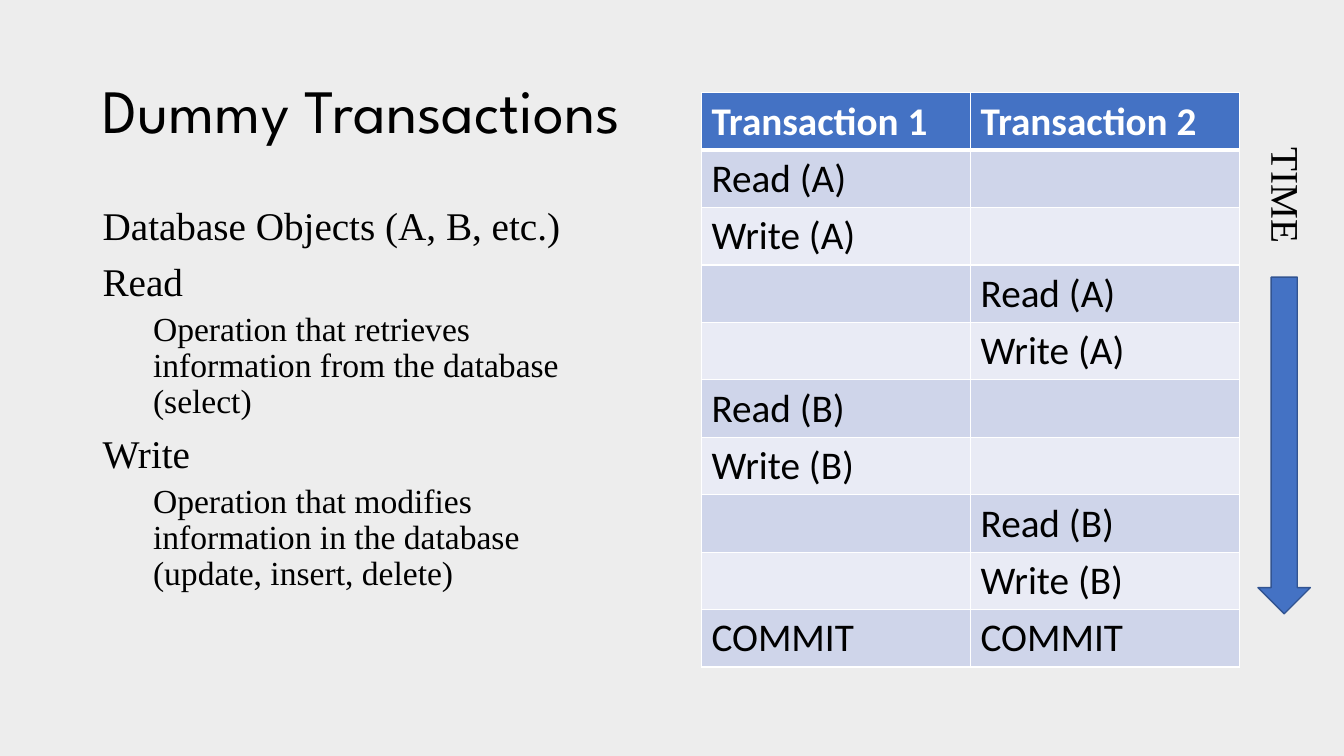
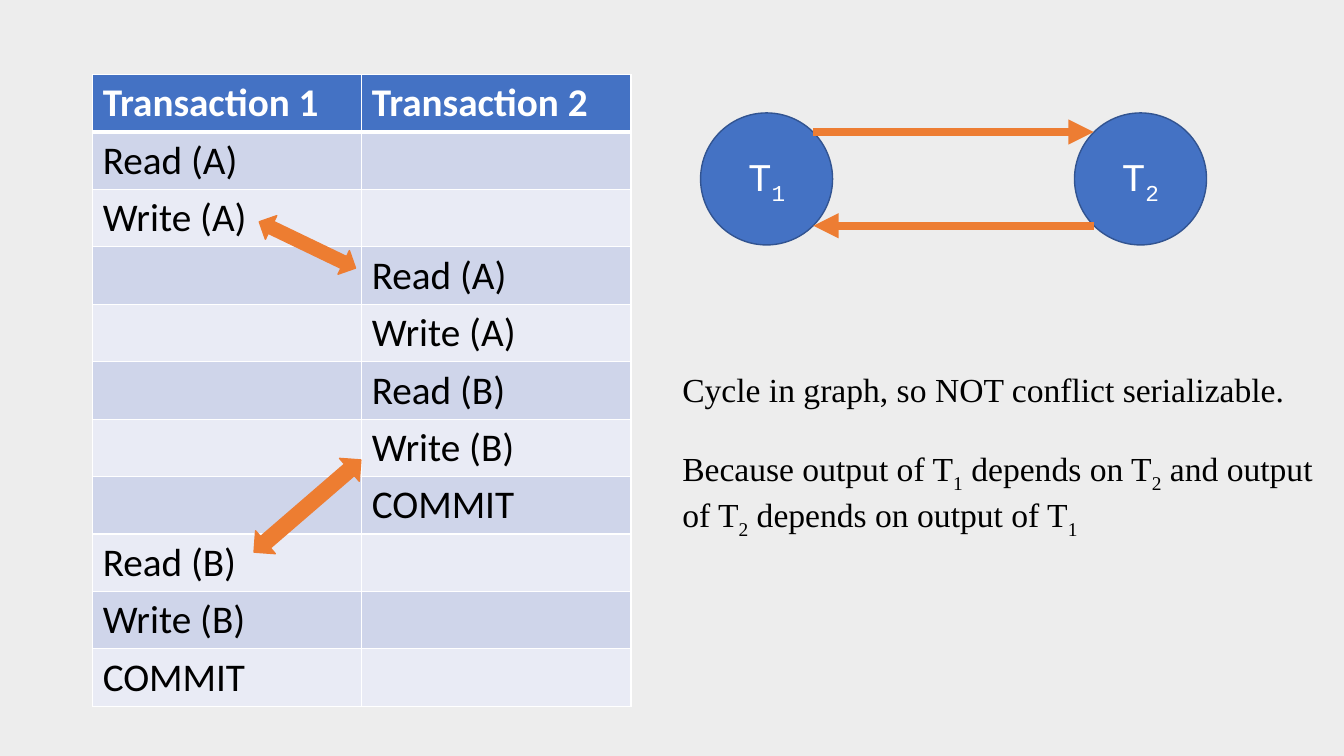
from lxml import etree
from pptx import Presentation
from pptx.dml.color import RGBColor
from pptx.enum.shapes import MSO_CONNECTOR, MSO_SHAPE
from pptx.enum.text import MSO_ANCHOR, PP_ALIGN
from pptx.oxml.ns import qn
from pptx.util import Pt

PX = 9144  # 100 px to the inch
LEFT, CENTER = PP_ALIGN.LEFT, PP_ALIGN.CENTER
TOP, MIDDLE = MSO_ANCHOR.TOP, MSO_ANCHOR.MIDDLE
OVAL, DOWN = MSO_SHAPE.OVAL, MSO_SHAPE.DOWN_ARROW
DOUBLE = MSO_SHAPE.UP_DOWN_ARROW
STRAIGHT = MSO_CONNECTOR.STRAIGHT

GRAY = RGBColor(0xED, 0xED, 0xED)
BLACK = RGBColor(0x00, 0x00, 0x00)
WHITE = RGBColor(0xFF, 0xFF, 0xFF)
BLUE = RGBColor(0x44, 0x72, 0xC4)
NAVY = RGBColor(0x32, 0x54, 0x91)
BANDS = RGBColor(0xCF, 0xD5, 0xEA), RGBColor(0xE9, 0xEB, 0xF5)
ORANGE = RGBColor(0xED, 0x7D, 0x31)
RUST = RGBColor(0xED, 0x7D, 0x33)

SERIF, SANS, MONO = "Times New Roman", "Calibri", "Courier New"
TITLE = "League Spartan"
COL, ROW = 267, 57

HEAD = ("Transaction 1", "Transaction 2")
FIRST = [HEAD, ("Read (A)", ""), ("Write (A)", ""), ("", "Read (A)"),
         ("", "Write (A)"), ("Read (B)", ""), ("Write (B)", ""),
         ("", "Read (B)"), ("", "Write (B)"), ("COMMIT", "COMMIT")]
SECOND = FIRST[:5] + [("", "Read (B)"), ("", "Write (B)"), ("", "COMMIT"),
                      ("Read (B)", ""), ("Write (B)", ""), ("COMMIT", "")]
# Each entry: level, text
TERMS = [(0, "Database Objects (A, B, etc.)"),
         (0, "Read"),
         (1, "Operation that retrieves information from the database (select)"),
         (0, "Write"),
         (1, "Operation that modifies information in the database "
             "(update, insert, delete)")]


def emu(*px):
    return [n * PX for n in px]


def write(para, text, size=28, font=SERIF, color=BLACK, bold=False,
          align=LEFT, lines=None, before=0, indent=0):
    """Fill a paragraph; parts between ~ marks become subscripts."""
    para.alignment = align
    para.line_spacing = lines
    para.space_before = Pt(before)
    if indent:
        para._p.get_or_add_pPr().set("marL", str(indent * PX))
    for i, part in enumerate(text.split("~")):
        if not part:
            continue
        run = para.add_run()
        run.text = part
        run.font.size, run.font.name = Pt(size), font
        run.font.color.rgb, run.font.bold = color, bold
        if i % 2:
            run._r.get_or_add_rPr().set("baseline", "-25000")


def frame(slide, x, y, w, h, anchor=TOP, turn=0):
    box = slide.shapes.add_textbox(*emu(x, y, w, h))
    box.rotation = turn
    box.text_frame.word_wrap = True
    box.text_frame.vertical_anchor = anchor
    return box.text_frame


def shape(slide, kind, x, y, w, h, fill=BLUE, edge=NAVY, turn=0):
    item = slide.shapes.add_shape(kind, *emu(x, y, w, h))
    item.shadow.inherit = False
    item.fill.solid()
    item.fill.fore_color.rgb = fill
    item.line.color.rgb, item.line.width = edge, Pt(1)
    item.rotation = turn
    return item


def border(cell, side, width):
    line = etree.SubElement(cell._tc.get_or_add_tcPr(), qn("a:" + side),
                            w=str(Pt(width)))
    fill = etree.SubElement(line, qn("a:solidFill"))
    etree.SubElement(fill, qn("a:srgbClr"), val=str(WHITE))


def grid(slide, x, y, rows):
    """Schedule table with a header and two-tone rows."""
    size = emu(x, y, COL * len(HEAD), ROW * len(rows))
    table = slide.shapes.add_table(len(rows), len(HEAD), *size).table
    for col in table.columns:
        col.width = COL * PX
    for r, texts in enumerate(rows):
        table.rows[r].height = ROW * PX
        for c, text in enumerate(texts):
            cell = table.cell(r, c)
            for side in ("lnL", "lnR", "lnT", "lnB"):
                thick = (r, side) in ((0, "lnB"), (1, "lnT"))
                border(cell, side, 3 if thick else 1)
            cell.fill.solid()
            cell.fill.fore_color.rgb = BANDS[(r - 1) % 2] if r else BLUE
            write(cell.text_frame.paragraphs[0], text, font=SANS,
                  color=BLACK if r else WHITE, bold=r == 0)


def terms(slide, x, y, w, h):
    """Definitions, with explanations indented."""
    body = frame(slide, x, y, w, h)
    for i, (level, text) in enumerate(TERMS):
        para = body.add_paragraph() if i else body.paragraphs[0]
        write(para, text, size=24 if level else 28, lines=0.9,
              before=(5 if level else 10) if i else 0, indent=50 * level)


def clock(slide, x, y):
    """Time label reading downward, above a long arrow."""
    label = frame(slide, x - 30, y, 117, 57, turn=90)
    write(label.paragraphs[0], "TIME")
    shape(slide, DOWN, x, y + 108, 52, 334)


def link(slide, x1, x2, y):
    line = slide.shapes.add_connector(STRAIGHT, *emu(x1, y, x2, y))
    line.line.color.rgb, line.line.width = RUST, Pt(6)
    etree.SubElement(line.line._get_or_add_ln(), qn("a:tailEnd"),
                     type="triangle")
    etree.SubElement(line._element.spPr, qn("a:effectLst"))


def graph(slide, x, y, size=131, step=371):
    """Two nodes joined by an arrow each way."""
    for i in range(2):
        node = shape(slide, OVAL, x + i * step, y, size, size)
        node.text_frame.vertical_anchor = MIDDLE
        write(node.text_frame.paragraphs[0], f"T~{i + 1}~", font=MONO,
              color=WHITE, align=CENTER)
    cut = round(size * (1 - 0.5 ** 0.5) / 2)  # corner of box to rim
    start, end = x + size - cut, x + step + cut
    link(slide, start, end, y + cut)
    link(slide, end, start, y + size - cut)


def verdict(slide, x, y, w, h):
    text = frame(slide, x, y, w, h)
    write(text.paragraphs[0], "Cycle in graph, so NOT conflict serializable.",
          size=24)
    write(text.add_paragraph(),
          "Because output of T~1~ depends on T~2~ and output "
          "of T~2~ depends on output of T~1~", size=24, before=28)


def intro(slide):
    head = frame(slide, 92, 40, 1150, 145, anchor=MIDDLE)
    write(head.paragraphs[0], "Dummy Transactions", size=44, font=TITLE,
          lines=0.9)
    terms(slide, 92, 200, 534, 476)
    grid(slide, 696, 92, FIRST)
    clock(slide, 1248, 167)


def cycle(slide):
    grid(slide, 92, 74, SECOND)
    graph(slide, 695, 112)
    # Conflicts between rows
    for box, turn in (((292, 190, 26, 106), 295.7),
                      ((290, 432, 30, 140), 229.2)):
        shape(slide, DOUBLE, *box, fill=ORANGE, edge=RUST, turn=turn)
    verdict(slide, 667, 361, 648, 172)


def main():
    deck = Presentation()
    deck.slide_width, deck.slide_height = 12192000, 6858000
    back = deck.slide_master.background.fill
    back.solid()
    back.fore_color.rgb = GRAY
    for build in (intro, cycle):
        build(deck.slides.add_slide(deck.slide_layouts[6]))
    deck.save("out.pptx")


if __name__ == "__main__":
    main()
